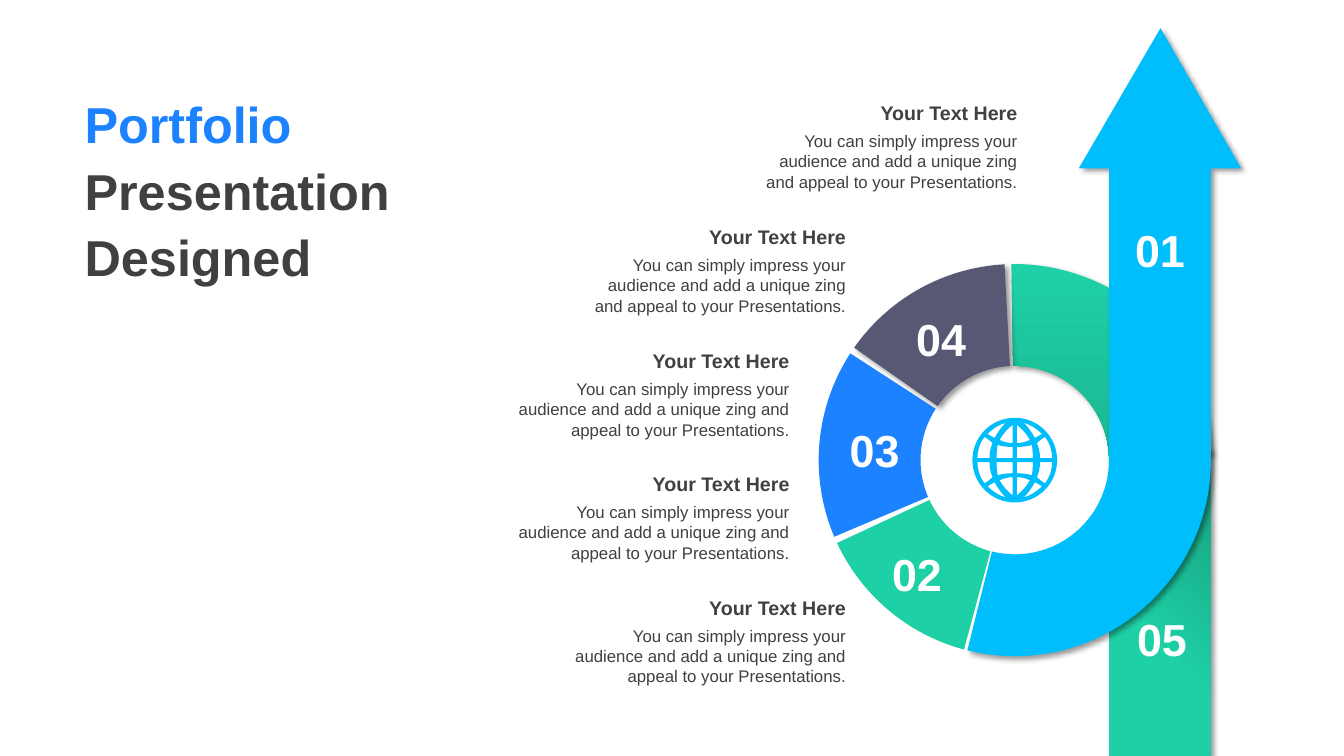
"""Build the circular arrow slide with five numbered steps."""
import dataclasses
import math
from typing import Optional

import lxml.etree
import pptx
import pptx.dml.color
import pptx.enum.shapes
import pptx.enum.text
import pptx.oxml.ns
import pptx.shapes.autoshape
import pptx.slide
import pptx.util

PX = 9144
FONT = "Arial"
CYAN, GREEN, DEEP_GREEN = "00BDFB", "1ED0A6", "179C7D"
BLUE, SLATE, INK, WHITE = "1C82FF", "565874", "404040", "FFFFFF"
RING_LEFT, RING_TOP, RING_SIZE, BAND = 812, 262, 389, 101
CENTER_X, CENTER_Y = RING_LEFT + RING_SIZE / 2, RING_TOP + RING_SIZE / 2
GLOBE_RADIUS = 42
HEADING = "Your Text Here"
BODY = "You can simply impress your audience and add a unique zing and appeal to your Presentations."

Shape = pptx.shapes.autoshape.Shape
Slide = pptx.slide.Slide
Point = tuple[float, float]
Edge = tuple[Point, ...]
Align = pptx.enum.text.PP_ALIGN
Anchor = pptx.enum.text.MSO_ANCHOR
Preset = pptx.enum.shapes.MSO_SHAPE
qn = pptx.oxml.ns.qn


@dataclasses.dataclass(frozen=True)
class Segment:
    start: int
    end: int
    color: str
    shadow: bool = False


@dataclasses.dataclass(frozen=True)
class Callout:
    right: int
    top: int
    width: int


@dataclasses.dataclass(frozen=True)
class Number:
    text: str
    left: int
    top: int


@dataclasses.dataclass(frozen=True)
class Span:
    text: str
    size: int
    color: str
    bold: bool = True


@dataclasses.dataclass(frozen=True)
class Contour:
    start: Point
    edges: tuple[Edge, ...]


SEGMENTS = [
    Segment(105, 155, GREEN),
    Segment(157, 213, BLUE),
    Segment(215, 267, SLATE, True),
]
CALLOUTS = [
    Callout(1019, 125, 284),
    Callout(849, 248, 272),
    Callout(793, 371, 302),
    Callout(793, 493, 300),
    Callout(849, 616, 302),
]
NUMBERS = [
    Number("05", 1097, 602),
    Number("02", 854, 537),
    Number("03", 812, 414),
    Number("04", 878, 304),
    Number("01", 1095, 216),
]
GLOBE_CELLS = [
    Contour((30, 23), (((25, 20), (22, 17)), ((25, 10), (25, 2)), ((37, 2),), ((37, 14), (30, 23)))),
    Contour((17, 15), (((10, 13), (2, 13)), ((2, 2),), ((18, 2),), ((18, 9), (17, 15)))),
    Contour((2, 35), (((2, 17),), ((9, 17), (15, 20)), ((10, 29), (2, 35)))),
    Contour((9, 37), (((15, 31), (20, 22)), ((24, 24), (27, 26)), ((19, 34), (9, 37)))),
]


def emu(px: float) -> pptx.util.Emu:
    return pptx.util.Emu(round(px * PX))


def rgb(color: str) -> pptx.dml.color.RGBColor:
    return pptx.dml.color.RGBColor.from_string(color)


def style(shape: Shape, color: str, shadow: bool = False) -> None:
    shape.shadow.inherit = False
    shape.fill.solid()
    shape.fill.fore_color.rgb = rgb(color)
    shape.line.fill.background()
    if shadow:
        effects = shape._element.spPr.find(qn("a:effectLst"))
        outer = lxml.etree.SubElement(
            effects, qn("a:outerShdw"), blurRad="50800", dist="38100",
            dir="2700000", algn="tl", rotWithShape="0")
        black = lxml.etree.SubElement(outer, qn("a:srgbClr"), val="000000")
        lxml.etree.SubElement(black, qn("a:alpha"), val="40000")


def shade(shape: Shape, angle: int, begin: float = 0) -> None:
    shape.fill.gradient()
    shape.fill.gradient_angle = angle
    for stop, color, position in zip(shape.fill.gradient_stops, (GREEN, DEEP_GREEN), (begin, 1)):
        stop.color.rgb = rgb(color)
        stop.position = position


def add_segment(page: Slide, segment: Segment) -> Shape:
    arc = page.shapes.add_shape(
        Preset.BLOCK_ARC, emu(RING_LEFT), emu(RING_TOP), emu(RING_SIZE), emu(RING_SIZE))
    for index, value in enumerate((segment.start * 0.6, segment.end * 0.6, BAND / RING_SIZE)):
        arc.adjustments[index] = value
    style(arc, segment.color, segment.shadow)
    return arc


def polar(radius: float, degree: float) -> Point:
    angle = math.radians(degree)
    return CENTER_X + radius * math.cos(angle), CENTER_Y + radius * math.sin(angle)


def arc_edge(radius: float, start: int, end: int) -> Edge:
    reach = 4 / 3 * math.tan(math.radians(end - start) / 4)
    stretch = math.hypot(1, reach)
    swing = math.degrees(math.atan(reach))
    return (polar(radius * stretch, start + swing), polar(radius * stretch, end - swing),
            polar(radius, end))


def add_outline(page: Slide, contours: list[Contour]) -> Shape:
    builder = page.shapes.build_freeform(*map(emu, contours[0].start), scale=1.0)
    for index, contour in enumerate(contours):
        if index:
            builder.move_to(*map(emu, contour.start))
        points = [(emu(x), emu(y)) for edge in contour.edges for x, y in edge]
        builder.add_line_segments(points, close=True)
    shape = builder.convert_to_shape()
    lines = iter(list(shape._element.spPr.iter(qn("a:lnTo"))))
    for edge in (edge for contour in contours for edge in contour.edges):
        steps = [next(lines) for _ in edge]
        if len(steps) == 3:
            curve = lxml.etree.Element(qn("a:cubicBezTo"))
            steps[0].addprevious(curve)
            for step in steps:
                curve.append(step[0])
                step.getparent().remove(step)
    return shape


def add_arrow(page: Slide) -> None:
    outer, inner = RING_SIZE / 2, RING_SIZE / 2 - BAND
    edges = (((1231, 167),), ((1201, 167),), (polar(outer, 0),),
             arc_edge(outer, 0, 90), arc_edge(outer, 90, 104), (polar(inner, 104),),
             arc_edge(inner, 104, 90), arc_edge(inner, 90, 0), ((1100, 167),), ((1070, 167),))
    style(add_outline(page, [Contour((1151, 28), edges)]), CYAN, True)


def place_cell(cell: Contour, flip_x: int, flip_y: int) -> Contour:
    def place(x: float, y: float) -> Point:
        return CENTER_X + flip_x * x, CENTER_Y + flip_y * y

    edges, start = [], cell.start
    for edge in cell.edges:
        end = edge[-1]
        if len(edge) == 2:
            bend = edge[0]
            pulls = [tuple((a + 2 * b) / 3 for a, b in zip(tip, bend)) for tip in (start, end)]
            edge = (*pulls, end)
        edges.append(tuple(place(*point) for point in edge))
        start = end
    return Contour(place(*cell.start), tuple(edges))


def add_globe(page: Slide) -> None:
    rim = tuple(arc_edge(GLOBE_RADIUS, start, start + 90) for start in range(0, 360, 90))
    holes = [place_cell(cell, flip_x, flip_y)
             for cell in GLOBE_CELLS for flip_x in (1, -1) for flip_y in (1, -1)]
    style(add_outline(page, [Contour(polar(GLOBE_RADIUS, 0), rim), *holes]), CYAN)


def add_text(page: Slide, left: int, top: int, width: int, height: int, spans: list[Span],
             align: Align, spacing: Optional[float] = None, anchor: Anchor = Anchor.TOP) -> None:
    box = page.shapes.add_textbox(emu(left), emu(top), emu(width), emu(height))
    frame = box.text_frame
    frame.word_wrap = True
    frame.vertical_anchor = anchor
    para = frame.paragraphs[0]
    para.alignment = align
    if spacing:
        para.line_spacing = spacing
    for span in spans:
        run = para.add_run()
        run.text = span.text
        run.font.name = FONT
        run.font.size = pptx.util.Pt(span.size)
        run.font.bold = span.bold
        run.font.color.rgb = rgb(span.color)


def main() -> None:
    deck = pptx.Presentation()
    deck.slide_width, deck.slide_height = emu(1333), emu(750)
    page = deck.slides.add_slide(deck.slide_layouts[6])
    shade(add_segment(page, Segment(269, 358, GREEN, True)), 270)
    stem = page.shapes.add_shape(Preset.RECTANGLE, emu(1100), emu(446), emu(101), emu(304))
    style(stem, GREEN, True)
    shade(stem, 45, 0.38)
    add_arrow(page)
    for segment in SEGMENTS:
        add_segment(page, segment)
    for number in NUMBERS:
        add_text(page, number.left, number.top, 111, 64, [Span(number.text, 32, WHITE)], Align.CENTER)
    for callout in CALLOUTS:
        left, top, width = callout.right - callout.width, callout.top, callout.width
        add_text(page, left, top, width, 71, [Span(BODY, 12, INK, False)], Align.RIGHT)
        add_text(page, left + 2, top - 30, width - 2, 34, [Span(HEADING, 14, INK)], Align.RIGHT)
    title = [Span("Portfolio ", 36, BLUE), Span("Presentation Designed", 36, INK)]
    add_text(page, 74, 83, 339, 205, title, Align.LEFT, 1.1, Anchor.MIDDLE)
    add_globe(page)
    deck.save("out.pptx")


if __name__ == "__main__":
    main()
